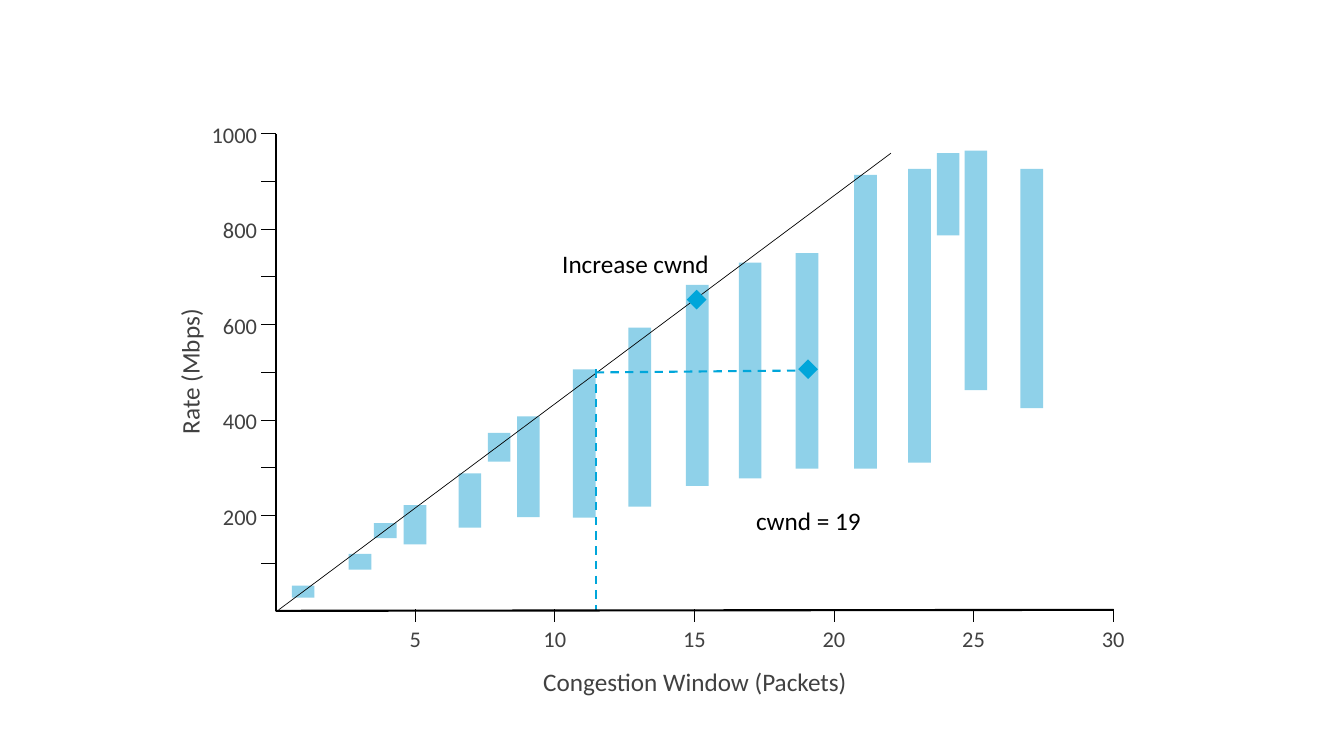
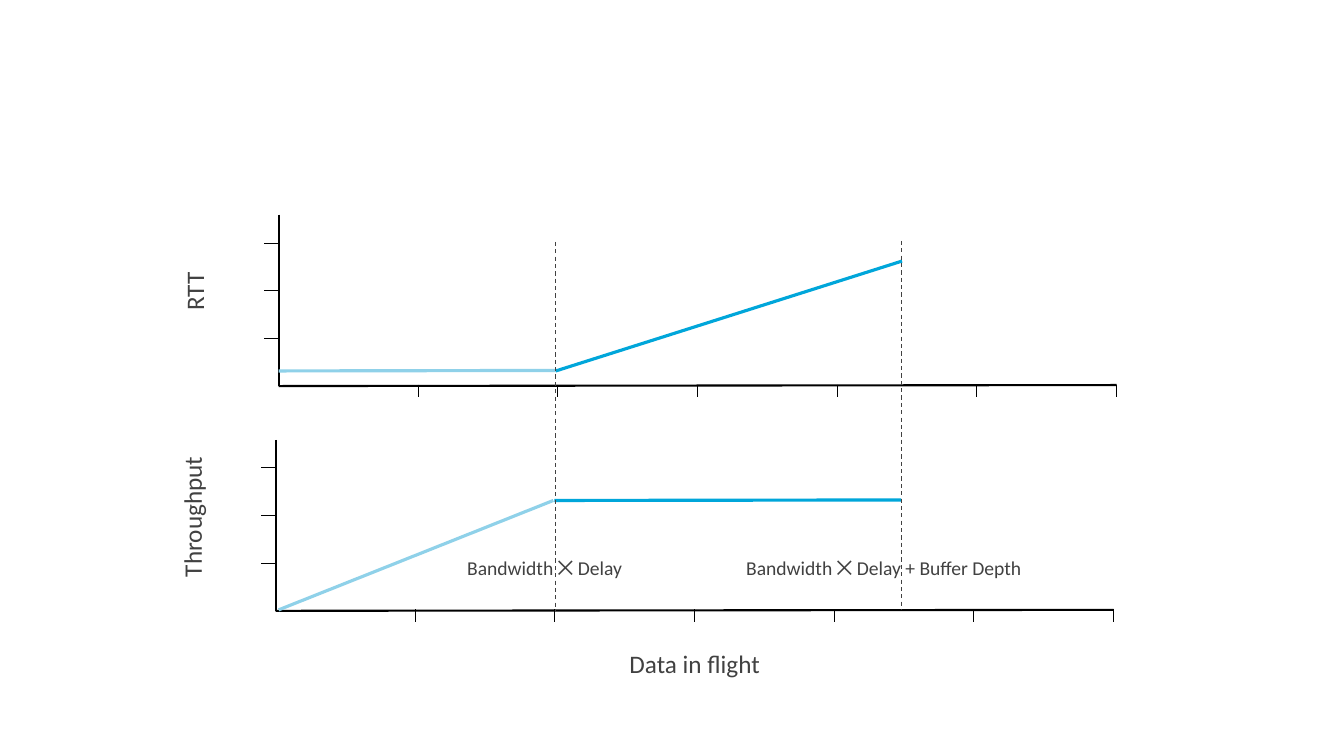
from dataclasses import dataclass
from typing import NamedTuple

from lxml.etree import SubElement
from pptx import Presentation
from pptx.dml.color import RGBColor
from pptx.enum.dml import MSO_LINE
from pptx.enum.shapes import MSO_CONNECTOR, MSO_SHAPE
from pptx.enum.text import MSO_AUTO_SIZE, PP_ALIGN
from pptx.oxml.ns import qn
from pptx.util import Inches, Pt


@dataclass(frozen=True)
class Theme:
    font: str = "Calibri"
    black: str = "000000"
    text: str = "414141"
    pale: str = "8FD1E9"
    accent: str = "00A6DA"
    small: float = 28
    tick_size: float = 32
    label_size: float = 36
    thin: float = 1
    guide: float = 1.5
    axis: float = 3
    curve: float = 4.5


class Point(NamedTuple):
    x: float
    y: float


class Box(NamedTuple):
    left: float
    top: float
    width: float
    height: float


class Bar(NamedTuple):
    left: float
    top: float
    height: float


@dataclass(frozen=True)
class Label:
    text: str
    box: Box
    size: float
    color: str
    align: PP_ALIGN = PP_ALIGN.CENTER
    rotation: float = 0


@dataclass(frozen=True)
class Segment:
    start: Point
    end: Point
    color: str
    width: float
    dashed: bool = False


@dataclass(frozen=True)
class Axes:
    origin: Point
    top: float
    y_ticks: int

    def tick_x(self, n: int) -> float:
        return self.origin.x + FIRST_X + (n - 1) * STEP_X

    def tick_y(self, n: int) -> float:
        return self.origin.y - n * STEP_Y


THEME = Theme()

# Axis geometry shared by both slides
X_TICKS = 6
FIRST_X = 2.77
STEP_X = 2.77
STEP_Y = 9.47 / 10
AXIS_LENGTH = 16.63
Y_TICK = 0.3
X_TICK = 0.25

BAR_WIDTH = 0.45
DIGIT_WIDTH = 0.23
LABEL_INSETS = 0.2


def add_segment(s, seg: Segment) -> None:
    sp = s.shapes.add_connector(
        MSO_CONNECTOR.STRAIGHT,
        *(Inches(v) for v in (*seg.start, *seg.end)))
    sp.line.color.rgb = RGBColor.from_string(seg.color)
    sp.line.width = Pt(seg.width)
    if seg.dashed:
        sp.line.dash_style = MSO_LINE.DASH
    SubElement(sp._element.spPr, qn("a:effectLst"))


def add_block(s, kind: MSO_SHAPE, box: Box, color: str) -> None:
    sp = s.shapes.add_shape(kind, *(Inches(v) for v in box))
    sp.shadow.inherit = False
    sp.fill.solid()
    sp.fill.fore_color.rgb = RGBColor.from_string(color)
    sp.line.fill.background()


def add_label(s, label: Label) -> None:
    sp = s.shapes.add_textbox(*(Inches(v) for v in label.box))
    sp.rotation = label.rotation
    tf = sp.text_frame
    tf.word_wrap = False
    tf.auto_size = MSO_AUTO_SIZE.SHAPE_TO_FIT_TEXT
    p = tf.paragraphs[0]
    p.alignment = label.align
    r = p.add_run()
    r.text = label.text
    for name, value in {"name": THEME.font, "size": Pt(label.size)}.items():
        setattr(r.font, name, value)
    r.font.color.rgb = RGBColor.from_string(label.color)


def add_axes(s, axes: Axes) -> None:
    x, y = axes.origin
    end = Point(x + AXIS_LENGTH, y - 0.02)
    add_segment(s, Segment(Point(x, axes.top), axes.origin, THEME.black, THEME.axis))
    add_segment(s, Segment(end, axes.origin, THEME.black, THEME.axis))
    for n in range(1, axes.y_ticks + 1):
        ty = axes.tick_y(n)
        add_segment(s, Segment(Point(x, ty), Point(x - Y_TICK, ty),
                               THEME.black, THEME.thin))
    for n in range(1, X_TICKS + 1):
        tx = axes.tick_x(n)
        add_segment(s, Segment(Point(tx, y - 0.03), Point(tx, y - 0.03 + X_TICK),
                               THEME.black, THEME.thin))


def add_scale(s, axes: Axes) -> None:
    """Number every x tick in fives and every second y tick in hundreds."""
    for n in range(1, X_TICKS + 1):
        text = str(5 * n)
        width = LABEL_INSETS + DIGIT_WIDTH * len(text)
        box = Box(axes.tick_x(n) - width / 2, 12.35, width, 0.64)
        add_label(s, Label(text, box, THEME.tick_size, THEME.text))
    for n in range(2, axes.y_ticks + 1, 2):
        text = str(100 * n)
        width = LABEL_INSETS + DIGIT_WIDTH * len(text)
        box = Box(5.2 - width, axes.tick_y(n) - 0.3, width, 0.64)
        add_label(s, Label(text, box, THEME.tick_size, THEME.text, PP_ALIGN.RIGHT))


prs = Presentation()
prs.slide_width = Inches(26.67)
prs.slide_height = Inches(15)
blank = prs.slide_layouts[6]

# Slide 1: rate against congestion window
RATE_BARS = [
    Bar(5.79, 11.62, 0.24), Bar(6.92, 10.99, 0.31), Bar(7.42, 10.38, 0.3),
    Bar(8.01, 10.02, 0.78), Bar(9.1, 9.39, 1.08), Bar(9.68, 8.59, 0.57),
    Bar(10.26, 8.26, 2), Bar(11.37, 7.33, 2.94), Bar(12.47, 6.5, 3.55),
    Bar(13.61, 5.65, 3.99), Bar(14.66, 5.21, 4.28), Bar(15.79, 5.02, 4.28),
    Bar(16.95, 3.47, 5.83), Bar(18.02, 3.35, 5.83), Bar(18.59, 3.04, 1.63),
    Bar(19.14, 2.99, 4.75), Bar(20.25, 3.35, 4.75),
]
RATE_LINES = [
    Segment(Point(5.53, 12.1), Point(17.68, 3.04), THEME.black, THEME.thin),
    Segment(Point(11.82, 7.33), Point(11.82, 12.1), THEME.accent, THEME.axis, True),
    Segment(Point(11.82, 7.39), Point(16.03, 7.35), THEME.accent, THEME.axis, True),
]
RATE_LABELS = [
    Label("Congestion Window (Packets)", Box(10.63, 13.17, 6.32, 0.71),
          THEME.label_size, THEME.text),
    Label("Rate (Mbps)", Box(2.41, 7.02, 2.71, 0.71),
          THEME.label_size, THEME.text, rotation=270),
    Label("cwnd = 19", Box(14.89, 9.98, 2.3, 0.71), THEME.label_size, THEME.black),
    Label("Increase cwnd", Box(11.04, 4.88, 3.14, 0.71),
          THEME.label_size, THEME.black),
]
MARKERS = [Point(13.63, 5.75), Point(15.84, 7.13)]

s = prs.slides.add_slide(blank)
for bar in RATE_BARS:
    add_block(s, MSO_SHAPE.RECTANGLE,
              Box(bar.left, bar.top, BAR_WIDTH, bar.height), THEME.pale)
rate_axes = Axes(Point(5.47, 12.12), 2.65, 10)
for seg in RATE_LINES:
    add_segment(s, seg)
add_axes(s, rate_axes)
add_scale(s, rate_axes)
for label in RATE_LABELS:
    add_label(s, label)
for marker in MARKERS:
    add_block(s, MSO_SHAPE.DIAMOND, Box(*marker, 0.39, 0.39), THEME.accent)

# Slide 2: round-trip time and throughput against data in flight
FLIGHT_AXES = [
    Axes(Point(5.47, 12.12), 8.73, 3),
    Axes(Point(5.53, 7.66), 4.26, 3),
]
FLIGHT_LINES = [
    Segment(Point(5.53, 12.1), Point(10.98, 9.93), THEME.pale, THEME.curve),
    Segment(Point(11, 9.93), Point(17.88, 9.92), THEME.accent, THEME.curve),
    Segment(Point(5.53, 7.36), Point(11.05, 7.35), THEME.pale, THEME.curve),
    Segment(Point(11.03, 7.36), Point(17.9, 5.18), THEME.accent, THEME.curve),
    Segment(Point(11.03, 4.8), Point(11.03, 12.12), THEME.text, THEME.guide, True),
    Segment(Point(17.89, 4.78), Point(17.89, 12.1), THEME.text, THEME.guide, True),
]
FLIGHT_LABELS = [
    Label("Data in flight", Box(12.37, 12.82, 2.83, 0.71),
          THEME.label_size, THEME.text),
    Label("Throughput", Box(2.5, 9.9, 2.62, 0.71),
          THEME.label_size, THEME.text, rotation=270),
    Label("RTT", Box(3.37, 5.43, 0.97, 0.71),
          THEME.label_size, THEME.text, rotation=270),
    Label("Bandwidth \u2a09 Delay", Box(9.15, 10.99, 3.31, 0.57),
          THEME.small, THEME.text),
    Label("Bandwidth \u2a09 Delay + Buffer Depth", Box(14.66, 10.99, 5.75, 0.57),
          THEME.small, THEME.text),
]

s = prs.slides.add_slide(blank)
for axes in FLIGHT_AXES:
    add_axes(s, axes)
for seg in FLIGHT_LINES:
    add_segment(s, seg)
for label in FLIGHT_LABELS:
    add_label(s, label)

prs.save("out.pptx")
